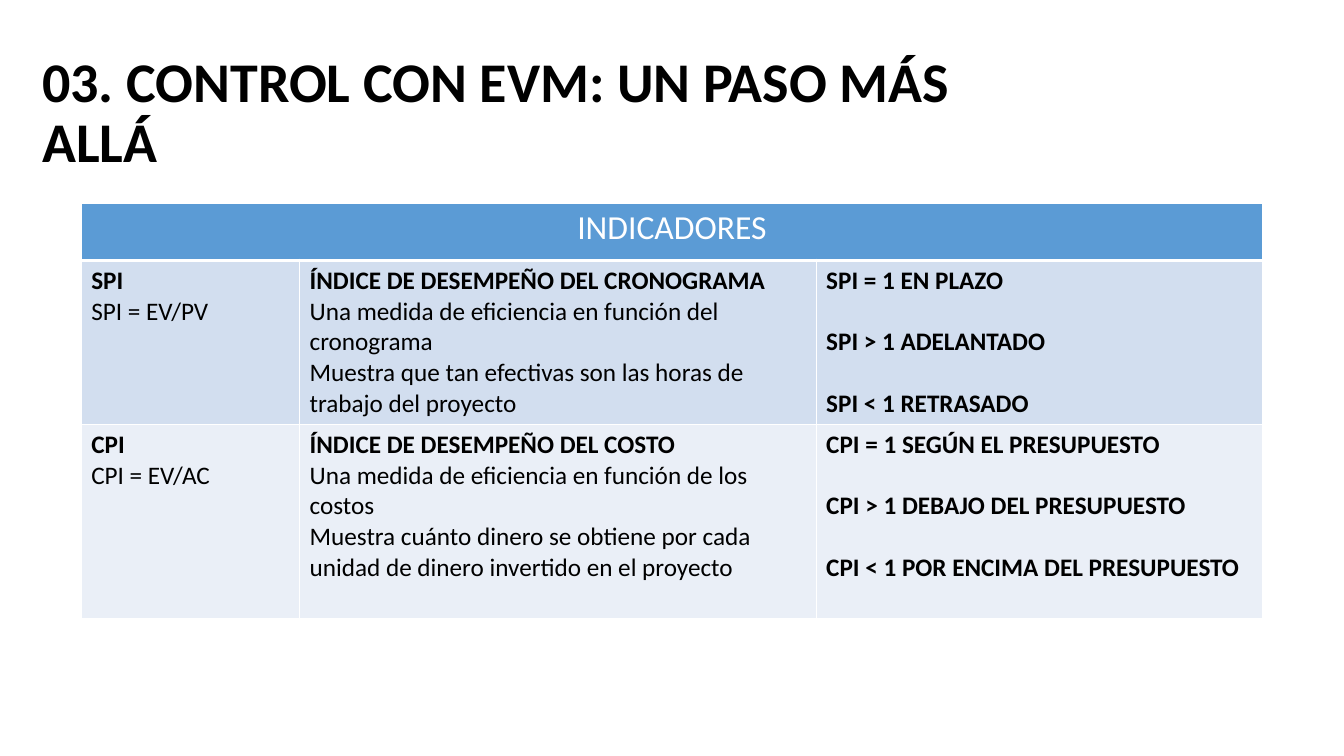
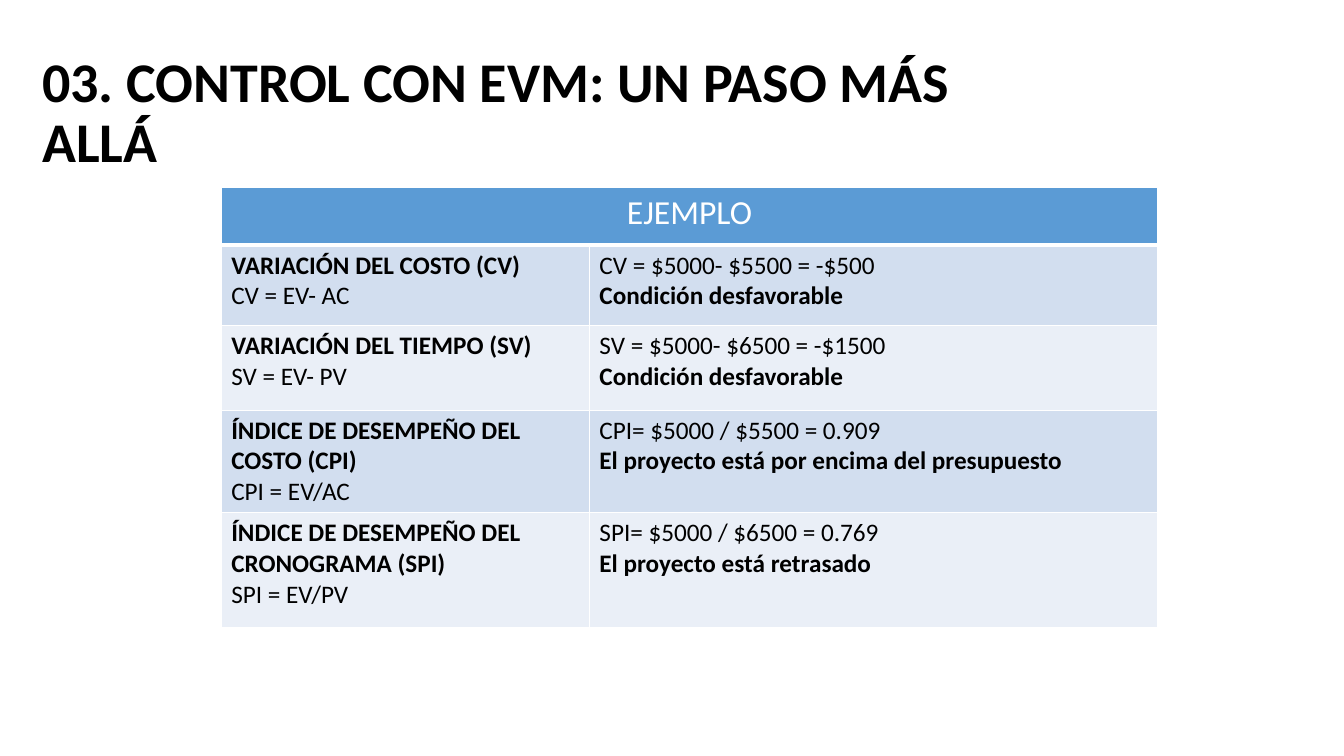
from lxml.etree import SubElement
from pptx import Presentation
from pptx.dml.color import RGBColor
from pptx.enum.text import MSO_ANCHOR, MSO_AUTO_SIZE, PP_ALIGN
from pptx.oxml.ns import qn
from pptx.util import Pt

COLORS = {
    "text": "000000",
    "white": "FFFFFF",
    "header": "5B9BD5",
    "band_dark": "D2DEEF",
    "band_light": "EAEFF7",
}
FONT = "Calibri"
TITLE = "03. CONTROL CON EVM: UN PASO MÁS ALLÁ"
TITLE_BOX = (23, 29.5, 748, 104.5)
HEADER_HEIGHT = 41

INDICATORS = [
    [
        [("SPI", True), ("SPI = EV/PV", False)],
        [
            ("ÍNDICE DE DESEMPEÑO DEL CRONOGRAMA", True),
            ("Una medida de eficiencia en función del cronograma", False),
            ("Muestra que tan efectivas son las horas de trabajo del proyecto", False),
        ],
        [("SPI = 1 EN PLAZO", True), ("SPI > 1 ADELANTADO", True), ("SPI < 1 RETRASADO", True)],
    ],
    [
        [("CPI", True), ("CPI = EV/AC", False)],
        [
            ("ÍNDICE DE DESEMPEÑO DEL COSTO", True),
            ("Una medida de eficiencia en función de los costos", False),
            ("Muestra cuánto dinero se obtiene por cada unidad de dinero invertido en el proyecto", False),
        ],
        [
            ("CPI = 1 SEGÚN EL PRESUPUESTO", True),
            ("CPI > 1 DEBAJO DEL PRESUPUESTO", True),
            ("CPI < 1 POR ENCIMA DEL PRESUPUESTO", True),
        ],
    ],
]

EXAMPLE = [
    [
        [("VARIACIÓN DEL COSTO (CV)", True), ("CV = EV- AC", False)],
        [("CV = $5000- $5500 = -$500", False), ("Condición desfavorable", True)],
    ],
    [
        [("VARIACIÓN DEL TIEMPO (SV)", True), ("SV = EV- PV", False)],
        [("SV = $5000- $6500 = -$1500", False), ("Condición desfavorable", True)],
    ],
    [
        [("ÍNDICE DE DESEMPEÑO DEL COSTO (CPI)", True), ("CPI = EV/AC", False)],
        [("CPI= $5000 / $5500 = 0.909", False), ("El proyecto está por encima del presupuesto", True)],
    ],
    [
        [("ÍNDICE DE DESEMPEÑO DEL CRONOGRAMA (SPI)", True), ("SPI = EV/PV", False)],
        [("SPI= $5000 / $6500 = 0.769", False), ("El proyecto está retrasado", True)],
    ],
]


def rgb(name):
    return RGBColor.from_string(COLORS[name])


def add_run(p, text, size, color, bold):
    r = p.add_run()
    r.text = text
    r.font.name = FONT
    r.font.size = Pt(size)
    r.font.bold = bold
    r.font.color.rgb = rgb(color)


def add_title(s, box):
    sp = s.shapes.title
    sp.left, sp.top, sp.width, sp.height = map(Pt, box)
    tf = sp.text_frame
    tf.word_wrap = True
    tf.auto_size = MSO_AUTO_SIZE.NONE
    tf.vertical_anchor = MSO_ANCHOR.MIDDLE
    p = tf.paragraphs[0]
    p.alignment = PP_ALIGN.LEFT
    p.line_spacing = 0.9
    add_run(p, TITLE, 40, "text", True)


def style_cell(cell, fill, bottom=1):
    tc_pr = cell._tc.get_or_add_tcPr()
    for side, width in (("L", 1), ("R", 1), ("T", 1), ("B", bottom)):
        ln = SubElement(tc_pr, qn(f"a:ln{side}"), w=str(Pt(width)))
        SubElement(SubElement(ln, qn("a:solidFill")), qn("a:srgbClr"), val=COLORS["white"])
    cell.fill.solid()
    cell.fill.fore_color.rgb = rgb(fill)


def write_cell(cell, lines, gap):
    tf = cell.text_frame
    for i, (text, bold) in enumerate(lines):
        p = tf.add_paragraph() if i else tf.paragraphs[0]
        if i and gap:
            p.space_before = Pt(gap)
        add_run(p, text, 18, "text", bold)


def add_banded_table(s, left, top, widths, heights, header, rows, gaps):
    heights = [HEADER_HEIGHT, *heights]
    frame = s.shapes.add_table(
        len(heights), len(widths), Pt(left), Pt(top), Pt(sum(widths)), Pt(sum(heights))
    )
    table = frame.table
    table.horz_banding = False
    for column, width in zip(table.columns, widths):
        column.width = Pt(width)
    for row, height in zip(table.rows, heights):
        row.height = Pt(height)

    for cell in table.rows[0].cells:
        style_cell(cell, "header", bottom=3)
    head = table.cell(0, 0)
    head.merge(table.cell(0, len(widths) - 1))
    p = head.text_frame.paragraphs[0]
    p.alignment = PP_ALIGN.CENTER
    add_run(p, header, 24, "white", False)

    for i, row in enumerate(rows):
        band = "band_light" if i % 2 else "band_dark"
        for j, lines in enumerate(row):
            cell = table.cell(i + 1, j)
            style_cell(cell, band)
            write_cell(cell, lines, gaps[j])


def add_table_slide(prs, **table):
    s = prs.slides.add_slide(prs.slide_layouts[5])
    add_title(s, TITLE_BOX)
    add_banded_table(s, **table)


def main():
    prs = Presentation()
    prs.slide_width, prs.slide_height = Pt(960), Pt(540)
    add_table_slide(
        prs, left=58, top=145, widths=(156, 369, 319), heights=(117, 138.5),
        header="INDICADORES", rows=INDICATORS, gaps=(0, 0, 22),
    )
    add_table_slide(
        prs, left=158, top=134, widths=(263, 406), heights=(57.5, 60.5, 73, 82.5),
        header="EJEMPLO", rows=EXAMPLE, gaps=(0, 0),
    )
    prs.save("out.pptx")


if __name__ == "__main__":
    main()
